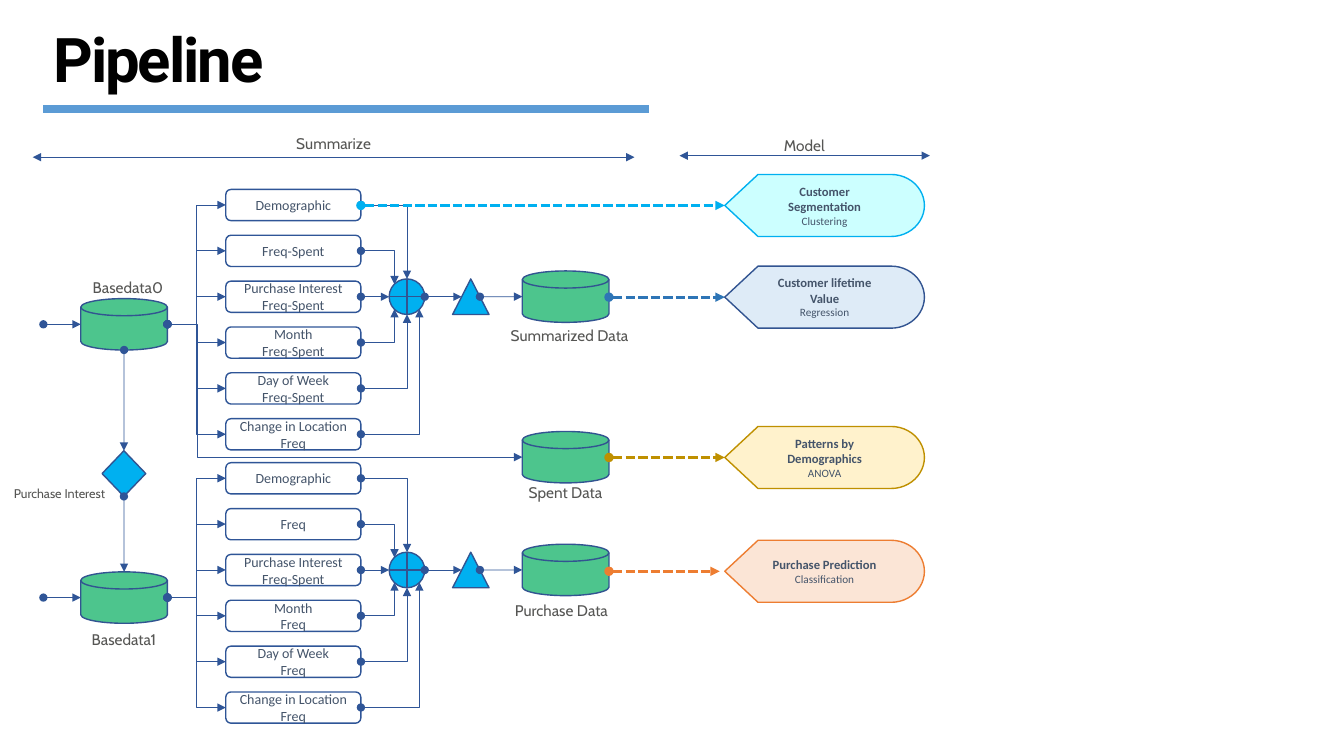
from dataclasses import dataclass
from lxml.etree import SubElement
from pptx import Presentation
from pptx.dml.color import RGBColor
from pptx.enum.dml import MSO_LINE
from pptx.enum.shapes import MSO_CONNECTOR, MSO_SHAPE
from pptx.enum.text import MSO_ANCHOR, MSO_AUTO_SIZE, PP_ALIGN
from pptx.oxml.ns import qn
from pptx.util import Pt


@dataclass(frozen=True)
class Theme:
    """Colours, fonts and type sizes of the slide."""
    rule: str = "5B9BD5"
    wire: str = "2F5597"
    outline: str = "325491"
    store: str = "4DC58D"
    step: str = "00B0F0"
    ink: str = "44546A"
    label_ink: str = "565654"
    title_font: str = "Roboto"
    label_font: str = "Cabin"
    body_font: str = "Calibri"
    title_size: float = 44
    label_size: float = 11
    feature_size: float = 10
    model_size: float = 9
    method_size: float = 8


@dataclass(frozen=True)
class Box:
    """A rectangle in points."""
    left: float
    top: float
    width: float
    height: float

    def at(self, across, down):
        """Return the point at a fraction of the width and height."""
        return self.left + across * self.width, self.top + down * self.height

    def lengths(self):
        """Return the four sides as lengths."""
        return [Pt(side) for side in (self.left, self.top, self.width, self.height)]


THEME = Theme()
STORE_SIZE = (61.9, 36.7)
JOIN_POINTS = [(0.5, 0), (0.15, 0.15), (0, 0.5), (0.15, 0.85), (0.5, 1), (0.85, 0.85)]


def apply(target, **formats):
    """Set each format value on the target."""
    for name, value in formats.items():
        setattr(target, name, value)


def write(frame, lines, font, color, align=PP_ALIGN.CENTER):
    """Write one paragraph for each (words, size, bold) line."""
    for index, (words, size, bold) in enumerate(lines):
        para = frame.add_paragraph() if index else frame.paragraphs[0]
        para.alignment = align
        span = para.add_run()
        span.text = words
        apply(span.font, name=font, size=Pt(size), bold=bold)
        span.font.color.rgb = RGBColor.from_string(color)
    return span


def wire(page, start, end, bend=None, turn=None, color=THEME.wire, width=0.5,
         dash=None, head="oval", tail="triangle"):
    """Draw a straight or bent connector with end marks."""
    kind = MSO_CONNECTOR.ELBOW if bend else MSO_CONNECTOR.STRAIGHT
    line = page.shapes.add_connector(kind, *map(Pt, (*start, *end)))
    line.line.color.rgb = RGBColor.from_string(color)
    apply(line.line, width=Pt(width), dash_style=dash)
    properties = line.element.spPr
    geometry = properties.find(qn("a:prstGeom"))
    if bend:
        geometry.set("prst", bend)
    if turn:
        SubElement(geometry.find(qn("a:avLst")), qn("a:gd"), name="adj1", fmla=f"val {turn}")
    outline = properties.find(qn("a:ln"))
    for mark, style in (("a:headEnd", head), ("a:tailEnd", tail)):
        if style:
            SubElement(outline, qn(mark), type=style)
    SubElement(properties, qn("a:effectLst"))


def block(page, kind, box, fill=None, color=THEME.outline, lines=()):
    """Draw a preset shape with optional text."""
    shape = page.shapes.add_shape(kind, *box.lengths())
    shape.shadow.inherit = False
    if fill:
        shape.fill.solid()
        shape.fill.fore_color.rgb = RGBColor.from_string(fill)
    else:
        shape.fill.background()
    shape.line.color.rgb = RGBColor.from_string(color)
    shape.line.width = Pt(1)
    if lines:
        apply(shape.text_frame, word_wrap=True, vertical_anchor=MSO_ANCHOR.MIDDLE)
        write(shape.text_frame, lines, THEME.body_font, THEME.ink)


def label(page, left, top, words, size=THEME.label_size):
    """Write a centred caption."""
    frame = page.shapes.add_textbox(*Box(left, top, 103.7, size + 9.6).lengths()).text_frame
    apply(frame, word_wrap=True, auto_size=MSO_AUTO_SIZE.SHAPE_TO_FIT_TEXT)
    write(frame, [(words, size, False)], THEME.label_font, THEME.label_ink)


def header(page, box):
    """Place the title and the rule below it."""
    title = page.shapes.title
    apply(title, **dict(zip(("left", "top", "width", "height"), box.lengths())))
    apply(title.text_frame, word_wrap=True, vertical_anchor=MSO_ANCHOR.TOP,
          auto_size=MSO_AUTO_SIZE.SHAPE_TO_FIT_TEXT)
    span = write(title.text_frame, [("Pipeline", THEME.title_size, True)],
                 THEME.title_font, "000000", PP_ALIGN.LEFT)
    span.font._element.set("spc", "-150")
    y = box.top + 66.3
    wire(page, (box.left, y), (box.left + 432.7, y), color=THEME.rule, width=6,
         head=None, tail=None)


def phase(page, box, words, label_left):
    """Draw a phase name over its double arrow."""
    label(page, label_left, box.top, words)
    wire(page, box.at(0, 1), box.at(1, 1), head="triangle")


def store(page, left, top):
    """Draw a data store and return its box."""
    box = Box(left, top, *STORE_SIZE)
    block(page, MSO_SHAPE.FLOWCHART_MAGNETIC_DISK, box, THEME.store)
    return box


def pipeline(page, box, features):
    """Draw base data, its features, the join and the resulting store."""
    base = store(page, box.left + 26.7, box.top + 78)
    wire(page, (box.left, base.at(0, 0.5)[1]), base.at(0, 0.5))
    middle = box.top + 76.65
    join = Box(box.left + 247, middle - 12.7, 25.4, 25.4)
    summary = Box(box.left + 292.3, middle - 12.7, 26, 25.4)
    block(page, MSO_SHAPE.FLOWCHART_OR, join, THEME.step)
    for index, (words, target) in enumerate(zip(features, JOIN_POINTS)):
        feature = Box(box.left + 130.3, box.top + 32.75 * index, 96.5, 22.3)
        lines = [(line, THEME.feature_size, False) for line in words.split("\n")]
        block(page, MSO_SHAPE.ROUNDED_RECTANGLE, feature, color=THEME.wire, lines=lines)
        bend = None if target[0] == 0 else "bentConnector2"
        wire(page, feature.at(1, 0.5), join.at(*target), bend)
        wire(page, base.at(1, 0.5), feature.at(0, 0.5), "bentConnector3")
    block(page, MSO_SHAPE.FLOWCHART_EXTRACT, summary, THEME.step)
    result = store(page, box.left + 342.1, middle - 18.4)
    wire(page, summary.at(0.75, 0.5), result.at(0, 0.5))
    wire(page, join.at(1, 0.5), summary.at(0.25, 0.5))
    return base


def model(page, box, name, method, fill, color, arrow, start, gap=0):
    """Draw a model and the dashed arrow that feeds it."""
    left, middle = box.at(0, 0.5)
    wire(page, (start, middle), (left - gap, middle), color=arrow, width=2.25,
         dash=MSO_LINE.SQUARE_DOT)
    lines = [(name, THEME.model_size, True), (method, THEME.method_size, False)]
    block(page, MSO_SHAPE.FLOWCHART_DISPLAY, box, fill, color, lines)


def purchase_link(page, box, upper, lower):
    """Link the two base stores through the purchase interest filter."""
    block(page, MSO_SHAPE.DIAMOND, box, THEME.step)
    wire(page, upper.at(0.5, 1), box.at(0.5, 0))
    wire(page, box.at(0.5, 1), lower.at(0.5, 0))
    label(page, box.left - 82.3, box.top + 21.4, "Purchase Interest", THEME.model_size)


def main():
    """Build and save the slide."""
    deck = Presentation()
    apply(deck, slide_width=Pt(960), slide_height=Pt(540))
    page = deck.slides.add_slide(deck.slide_layouts[5])
    header(page, Box(31, 11.5, 543.6, 60.5))
    phase(page, Box(23.4, 92.2, 429.8, 20.1), "Summarize", 186.5)
    phase(page, Box(485.4, 93.6, 178.8, 17.6), "Model", 522.7)

    upper = pipeline(page, Box(31, 135.3, 404, 186), [
        "Demographic", "Freq-Spent", "Purchase Interest Freq-Spent",
        "Month\nFreq-Spent", "Day of Week\nFreq-Spent", "Change in Location\nFreq"])
    lower = pipeline(page, Box(31, 330.5, 404, 186), [
        "Demographic", "Freq", "Purchase Interest Freq-Spent",
        "Month\nFreq", "Day of Week\nFreq", "Change in Location\nFreq"])
    purchase_link(page, Box(72.9, 322, 31.2, 32.6), upper, lower)
    spent = store(page, 373.1, 308.2)
    wire(page, upper.at(1, 0.5), spent.at(0, 0.5), "bentConnector3", 8400)

    for left, top, words in [
            (39.6, 195.1, "Basedata0"), (36.7, 446.4, "Basedata1"),
            (355, 229.7, "Summarized Data"), (352.1, 341.3, "Spent Data"),
            (349.2, 425.5, "Purchase Data")]:
        label(page, left, top, words)

    for top, *details in [
            (190.1, "Customer lifetime Value", "Regression", "DEEBF7", "325491", "2E75B6", 435),
            (385.9, "Purchase Prediction", "Classification", "FBE5D6", "ED7D31", "ED7D31", 435, 3.6),
            (124.6, "Customer Segmentation", "Clustering", "CCFFFF", "00B0F0", "00B0F0", 257.8),
            (304.6, "Patterns by Demographics", "ANOVA", "FFF2CC", "BF9000", "BF9000", 435)]:
        model(page, Box(517.7, top, 142.6, 44.3), *details)
    deck.save("out.pptx")


if __name__ == "__main__":
    main()
